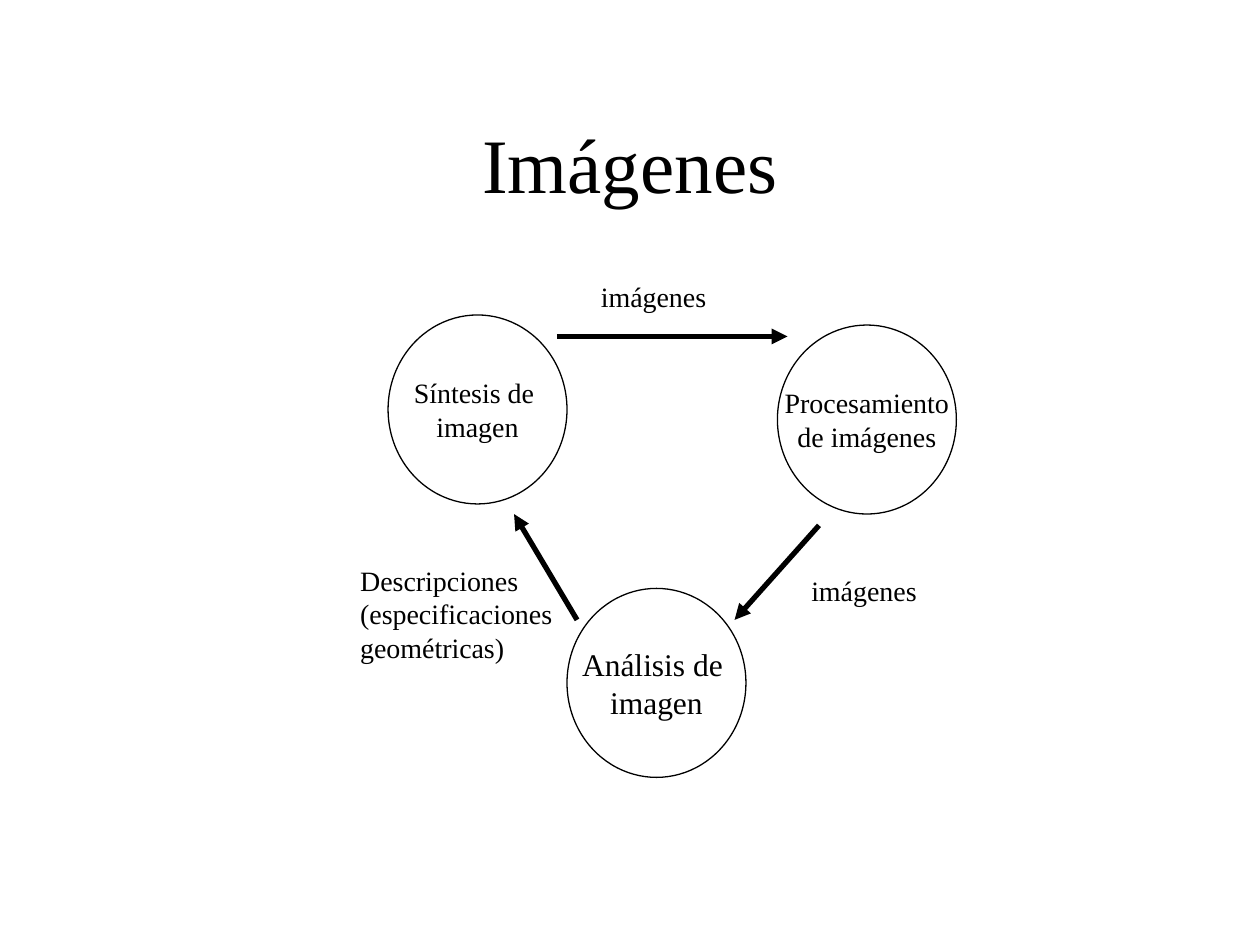
import pptx
import pptx.dml.color
import pptx.enum.shapes
import pptx.enum.text
import pptx.oxml.ns
import pptx.util
import lxml.etree

Inches = pptx.util.Inches
Pt = pptx.util.Pt
PP_ALIGN = pptx.enum.text.PP_ALIGN
MSO_ANCHOR = pptx.enum.text.MSO_ANCHOR
BLACK = "000000"


def rgb(value):
    return pptx.dml.color.RGBColor.from_string(value)


def write(tf, paragraphs, size, align):
    for i, text in enumerate(paragraphs):
        p = tf.paragraphs[0] if i == 0 else tf.add_paragraph()
        p.alignment = align
        for j, line in enumerate(text.split("\n")):
            if j:
                p.add_line_break()
            r = p.add_run()
            r.text = line
            r.font.size = Pt(size)
            r.font.name = "Times New Roman"
            r.font.color.rgb = rgb(BLACK)


prs = pptx.Presentation()
prs.slide_width = Inches(10)
prs.slide_height = Inches(7.5)
s = prs.slides.add_slide(prs.slide_layouts[5])

title = s.shapes.title
title.left, title.top = Inches(0.75), Inches(0.67)
title.width, title.height = Inches(8.5), Inches(1.25)
title.text_frame.vertical_anchor = MSO_ANCHOR.MIDDLE
write(title.text_frame, ["Imágenes"], 44, PP_ALIGN.CENTER)

stages = [
    (3.08, 2.5, ["Síntesis de ", "imagen"], 16),
    (6.17, 2.58, ["Procesamiento\nde imágenes"], 16),
    (4.5, 4.67, ["Análisis de ", "imagen"], 18),
]
for x, y, paragraphs, size in stages:
    sp = s.shapes.add_shape(pptx.enum.shapes.MSO_SHAPE.OVAL,
                            Inches(x), Inches(y), Inches(1.42), Inches(1.5))
    sp.shadow.inherit = False
    sp.fill.background()
    sp.line.color.rgb = rgb(BLACK)
    sp.line.width = Pt(0.75)
    tf = sp.text_frame
    tf.word_wrap = False
    tf.vertical_anchor = MSO_ANCHOR.MIDDLE
    write(tf, paragraphs, size, PP_ALIGN.CENTER)

arrows = [
    (4.42, 2.67, 6.25, 2.67),
    (6.5, 4.17, 5.83, 4.92),
    (4.58, 4.92, 4.08, 4.08),
]
for ends in arrows:
    arrow = s.shapes.add_connector(pptx.enum.shapes.MSO_CONNECTOR.STRAIGHT,
                                   *[Inches(v) for v in ends])
    arrow.line.color.rgb = rgb(BLACK)
    arrow.line.width = Pt(3)
    ln = arrow.line._get_or_add_ln()
    lxml.etree.SubElement(ln, pptx.oxml.ns.qn("a:tailEnd"), type="triangle")
    lxml.etree.SubElement(arrow._element.spPr, pptx.oxml.ns.qn("a:effectLst"))

labels = [
    (4.67, 2.17, 1.05, 0.37, ["imágenes"]),
    (6.34, 4.5, 1.05, 0.37, ["imágenes"]),
    (2.76, 4.42, 1.78, 1.17,
     ["Descripciones", "(especificaciones", "geométricas)"]),
]
for x, y, w, h, paragraphs in labels:
    label = s.shapes.add_textbox(Inches(x), Inches(y), Inches(w), Inches(h))
    tf = label.text_frame
    tf.word_wrap = False
    tf.auto_size = pptx.enum.text.MSO_AUTO_SIZE.SHAPE_TO_FIT_TEXT
    write(tf, paragraphs, 16, PP_ALIGN.LEFT)

prs.save("out.pptx")
